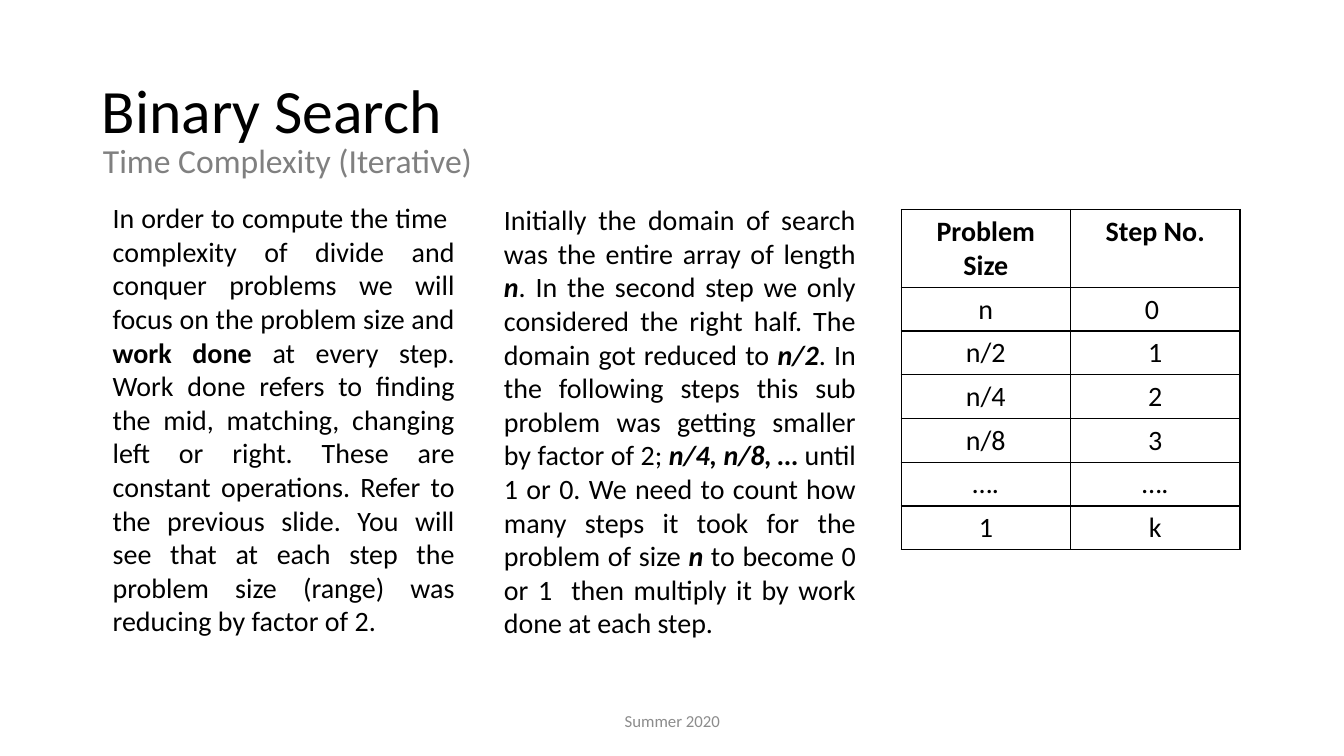
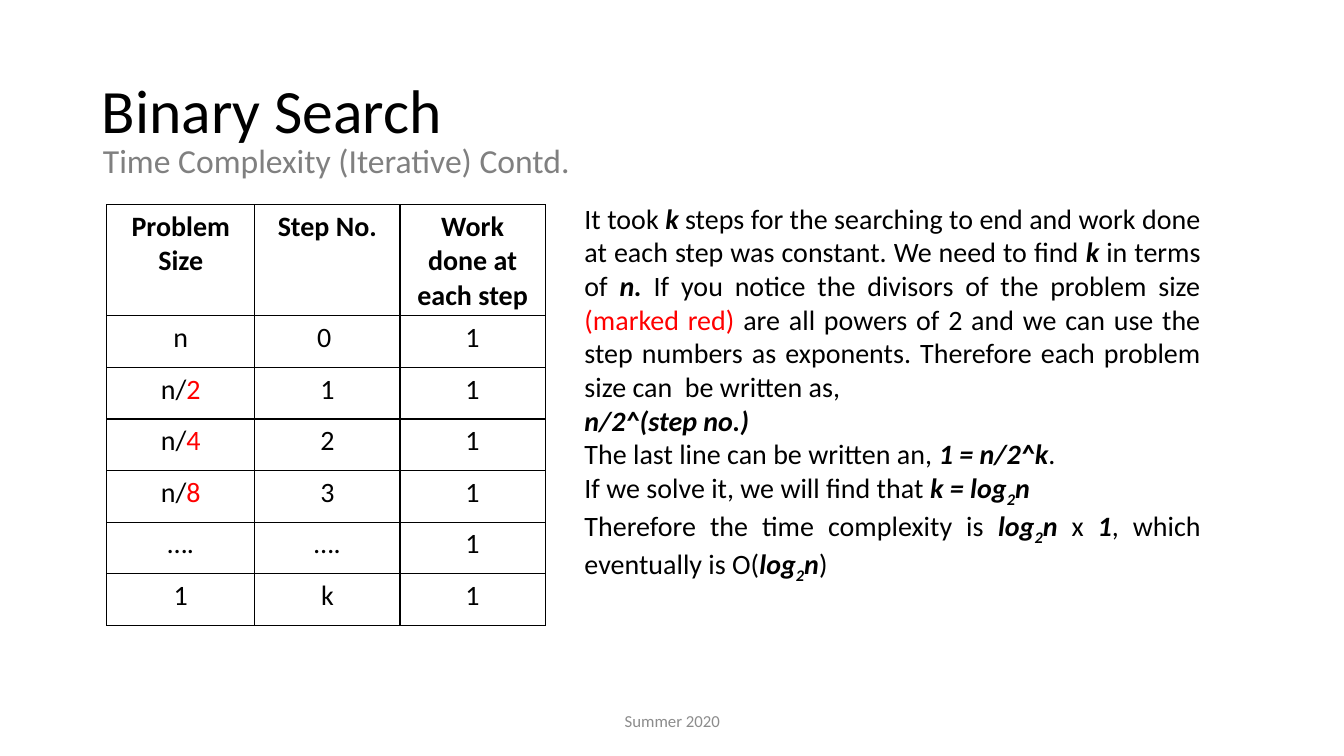
from dataclasses import dataclass

from lxml.etree import SubElement
from pptx import Presentation
from pptx.dml.color import RGBColor
from pptx.enum.text import MSO_ANCHOR, MSO_AUTO_SIZE, PP_ALIGN
from pptx.oxml.ns import qn
from pptx.slide import Slide
from pptx.text.text import Font, TextFrame, _Paragraph
from pptx.util import Cm, Pt

COLORS = {
    "text": "000000",
    "subtitle": "808080",
    "footer": "8C8C8C",
    "accent": "FF0000",
}
FONT_NAME = "Calibri"
BODY_SIZE = 20
BORDER_WIDTH = 1


@dataclass(frozen=True)
class Box:
    left: float
    top: float
    width: float
    height: float

    def lengths(self) -> tuple[Cm, Cm, Cm, Cm]:
        return Cm(self.left), Cm(self.top), Cm(self.width), Cm(self.height)


@dataclass(frozen=True)
class Span:
    text: str
    bold: bool = False
    italic: bool = False
    color: str = "text"
    subscript: bool = False


Line = list[Span]


@dataclass(frozen=True)
class TextColumn:
    box: Box
    lines: list[Line]


@dataclass(frozen=True)
class StepTable:
    left: float
    top: float
    column_widths: list[float]
    header_height: float
    row_height: float
    rows: list[list[Line]]


@dataclass(frozen=True)
class Page:
    subtitle: str
    columns: list[TextColumn]
    table: StepTable


TITLE_BOX = Box(2.31, 1.9, 14, 2.21)
SUBTITLE_BOX = Box(2.34, 3.51, 12.73, 1.57)
FOOTER_BOX = Box(11.23, 17.65, 11.43, 1.02)


def plain(text: str) -> Span:
    return Span(text)


def bold(text: str) -> Span:
    return Span(text, bold=True)


def red(text: str) -> Span:
    return Span(text, color="accent")


def term(text: str) -> Span:
    return Span(text, bold=True, italic=True)


def log_of_n(prefix: str = "") -> Line:
    base = Span("2", bold=True, italic=True, subscript=True)
    return [term(f"{prefix}log"), base, term("n")]


def format_font(font: Font, size: int, color: str) -> None:
    font.name = FONT_NAME
    font.size = Pt(size)
    font.color.rgb = RGBColor.from_string(COLORS[color])


def write_line(paragraph: _Paragraph, line: Line, alignment: PP_ALIGN) -> None:
    paragraph.alignment = alignment
    for span in line:
        run = paragraph.add_run()
        run.text = span.text
        format_font(run.font, BODY_SIZE, span.color)
        run.font.bold = span.bold
        run.font.italic = span.italic
        if span.subscript:
            run._r.get_or_add_rPr().set("baseline", "-25000")


def write_label(text_frame: TextFrame, text: str, size: int, color: str,
                alignment: PP_ALIGN, anchor: MSO_ANCHOR) -> _Paragraph:
    text_frame.text = text
    text_frame.word_wrap = True
    text_frame.auto_size = MSO_AUTO_SIZE.NONE
    text_frame.vertical_anchor = anchor
    paragraph = text_frame.paragraphs[0]
    paragraph.alignment = alignment
    format_font(paragraph.runs[0].font, size, color)
    return paragraph


def fill_placeholder(slide: Slide, index: int, box: Box, text: str, size: int, color: str) -> None:
    shape = slide.placeholders[index]
    shape.left, shape.top, shape.width, shape.height = box.lengths()
    paragraph = write_label(shape.text_frame, text, size, color, PP_ALIGN.LEFT, MSO_ANCHOR.TOP)
    paragraph.line_spacing = 0.9
    paragraph.space_before = Pt(0)
    properties = paragraph._p.get_or_add_pPr()
    properties.set("marL", "0")
    properties.set("indent", "0")
    SubElement(properties, qn("a:buNone"))


def add_footer(slide: Slide) -> None:
    shape = slide.shapes.add_textbox(*FOOTER_BOX.lengths())
    write_label(shape.text_frame, "Summer 2020", 12, "footer", PP_ALIGN.CENTER, MSO_ANCHOR.MIDDLE)


def add_text_column(slide: Slide, column: TextColumn) -> None:
    text_frame = slide.shapes.add_textbox(*column.box.lengths()).text_frame
    text_frame.word_wrap = True
    text_frame.auto_size = MSO_AUTO_SIZE.SHAPE_TO_FIT_TEXT
    for index, line in enumerate(column.lines):
        paragraph = text_frame.add_paragraph() if index else text_frame.paragraphs[0]
        write_line(paragraph, line, PP_ALIGN.JUSTIFY)


def add_step_table(slide: Slide, step_table: StepTable) -> None:
    row_count = len(step_table.rows)
    heights = [step_table.header_height] + [step_table.row_height] * (row_count - 1)
    box = Box(step_table.left, step_table.top, sum(step_table.column_widths), sum(heights))
    table = slide.shapes.add_table(
        row_count, len(step_table.column_widths), *box.lengths()).table
    table.first_row = False
    table.horz_banding = False
    for column, width in zip(table.columns, step_table.column_widths):
        column.width = Cm(width)
    for row, height, lines in zip(table.rows, heights, step_table.rows):
        row.height = Cm(height)
        for cell, line in zip(row.cells, lines):
            properties = cell._tc.get_or_add_tcPr()
            for side in ("lnL", "lnR", "lnT", "lnB"):
                border = SubElement(properties, qn(f"a:{side}"), w=str(Pt(BORDER_WIDTH)))
                fill = SubElement(border, qn("a:solidFill"))
                SubElement(fill, qn("a:srgbClr"), val=COLORS["text"])
            cell.fill.background()
            write_line(cell.text_frame.paragraphs[0], line, PP_ALIGN.CENTER)


def add_page(presentation: Presentation, page: Page) -> None:
    slide = presentation.slides.add_slide(presentation.slide_layouts[1])
    fill_placeholder(slide, 0, TITLE_BOX, "Binary Search", 44, "text")
    fill_placeholder(slide, 1, SUBTITLE_BOX, page.subtitle, 24, "subtitle")
    for column in page.columns:
        add_text_column(slide, column)
    add_step_table(slide, page.table)
    add_footer(slide)


SIZES = ["n", "n/2", "n/4", "n/8", "….", "1"]
STEPS = ["0 ", "1", "2", "3", "….", "k"]
HEADER = [[bold("Problem Size")], [bold("Step No.")]]


def marked_size(size: str) -> Line:
    numerator, slash, divisor = size.partition("/")
    return [plain(numerator + slash), red(divisor)] if divisor else [plain(size)]


PAGES = [
    Page(
        "Time Complexity (Iterative)",
        [
            TextColumn(Box(2.59, 4.93, 9.12, 11.38), [[
                plain("In order to compute the time  complexity of divide and conquer "
                      "problems we will focus on the problem size and "),
                bold("work done "),
                plain("at every step. Work done refers to finding the mid, matching, "
                      "changing left or right. These are constant operations. Refer to "
                      "the previous slide. You will see that at each step the problem "
                      "size (range) was reducing by factor of 2. "),
            ]]),
            TextColumn(Box(12.45, 4.98, 9.37, 11.38), [[
                plain("Initially the domain of search was the entire array of length "),
                term("n"),
                plain(". In the second step we only considered the right half. "
                      "The domain got reduced to "),
                term("n/2"),
                plain(". In the following steps this sub problem was getting smaller "
                      "by factor of 2; "),
                term("n/4, n/8, … "),
                plain("until 1 or 0. We need to count how many steps it took for the "
                      "problem of size "),
                term("n"),
                plain(" to become 0 or 1  then multiply it by work done at each step."),
            ]]),
        ],
        StepTable(22.71, 5.28, [4.27, 4.27], 1.96, 1.1, [
            HEADER,
            *([[plain(size)], [plain(step)]] for size, step in zip(SIZES, STEPS)),
        ]),
    ),
    Page(
        "Time Complexity (Iterative) Contd.",
        [
            TextColumn(Box(14.48, 4.95, 16.03, 10.77), [
                [
                    plain("It took "),
                    term("k"),
                    plain(" steps for the searching to end and work done at each step "
                          "was constant. We need to find "),
                    term("k"),
                    plain(" in terms of "),
                    term("n. "),
                    plain("If you notice the divisors of the problem size "),
                    red("(marked red)"),
                    plain(" are all powers of 2 and we can use the step numbers as "
                          "exponents. Therefore each problem size can  be written as, "),
                ],
                [term("n/2^(step no.)")],
                [plain("The last line can be written an, "), term("1 = n/2^k"), plain(".")],
                [plain("If we solve it, we will find that "), *log_of_n("k = ")],
                [
                    plain("Therefore the time complexity is "),
                    *log_of_n(),
                    plain(" x "),
                    term("1"),
                    plain(", which eventually is O("),
                    *log_of_n(),
                    plain(")"),
                ],
            ]),
        ],
        StepTable(2.69, 5.16, [3.73, 3.66, 3.66], 2.8, 1.3, [
            [*HEADER, [bold("Work done at each step")]],
            *([marked_size(size), [plain(step)], [plain("1")]]
              for size, step in zip(SIZES, STEPS)),
        ]),
    ),
]


def main() -> None:
    presentation = Presentation()
    presentation.slide_width = Cm(33.87)
    presentation.slide_height = Cm(19.05)
    for page in PAGES:
        add_page(presentation, page)
    presentation.save("out.pptx")


if __name__ == "__main__":
    main()
